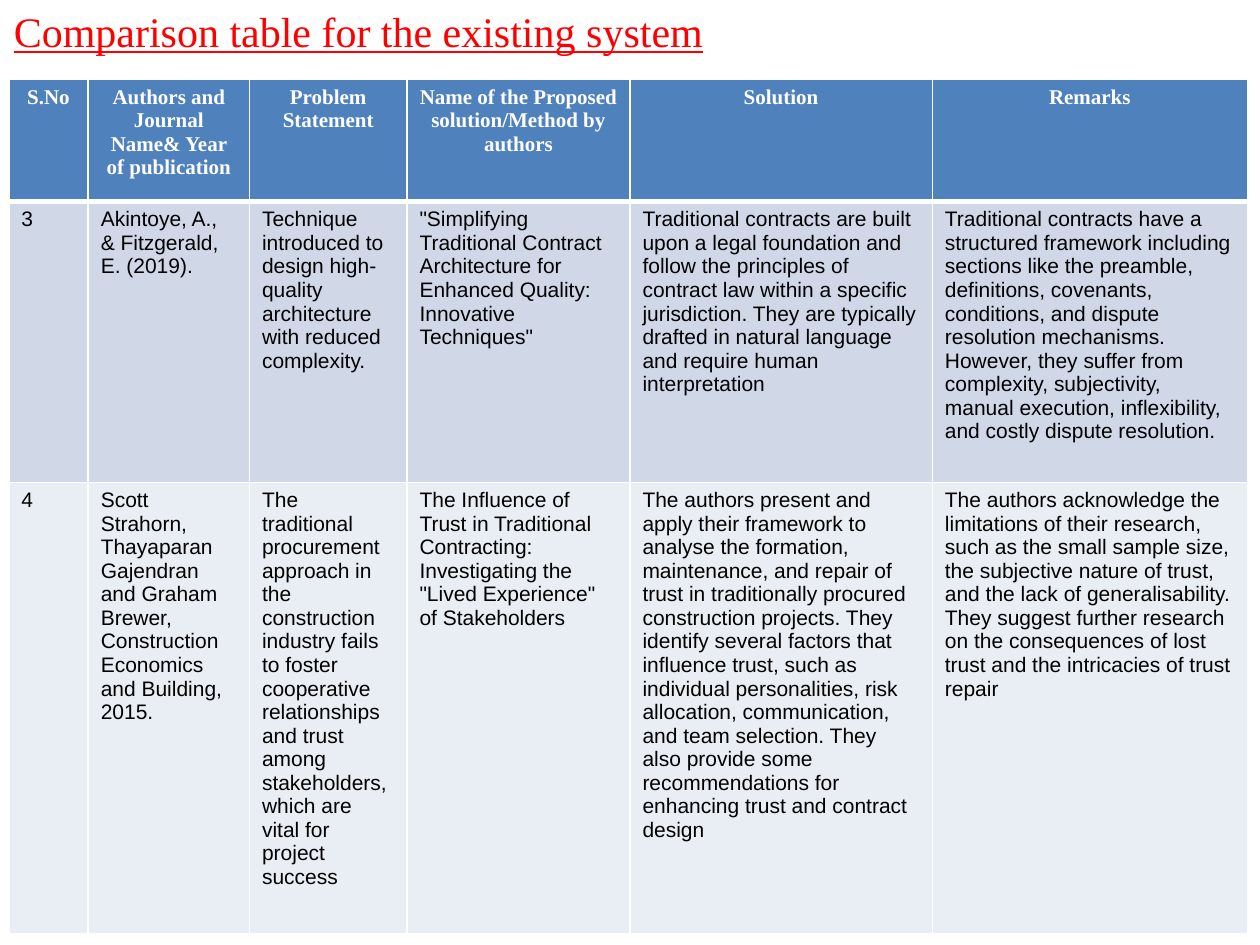
from dataclasses import dataclass

from lxml import etree
from pptx import Presentation
from pptx.dml.color import RGBColor
from pptx.enum.text import MSO_ANCHOR, MSO_AUTO_SIZE, PP_ALIGN
from pptx.oxml.ns import qn
from pptx.util import Inches, Pt

LEFT, CENTER = PP_ALIGN.LEFT, PP_ALIGN.CENTER
TOP = MSO_ANCHOR.TOP
NO_AUTOFIT = MSO_AUTO_SIZE.NONE
TITLE_ONLY = 5


@dataclass(frozen=True)
class Theme:
    title_color: str = "FF0000"
    header_text: str = "FFFFFF"
    body_text: str = "000000"
    header_fill: str = "4F81BD"
    band_fills: tuple = ("D0D8E8", "E9EDF4")
    border: str = "FFFFFF"
    serif: str = "Times New Roman"
    sans: str = "Arial"
    title_size: int = 24
    table_size: int = 12
    thin: int = 1
    thick: int = 3


def write_text(frame, text, *, font, size, color, bold=False, underline=False, align=LEFT):
    para = frame.paragraphs[0]
    para.alignment = align
    span = para.add_run()
    span.text = text
    span.font.name = font
    span.font.size = Pt(size)
    span.font.bold = bold
    span.font.underline = underline
    span.font.color.rgb = RGBColor.from_string(color)


def set_border(cell, side, color, width):
    line = etree.SubElement(cell._tc.get_or_add_tcPr(), qn(f"a:ln{side}"), w=str(Pt(width)))
    fill = etree.SubElement(line, qn("a:solidFill"))
    etree.SubElement(fill, qn("a:srgbClr"), val=color)


class SlideBuilder:
    def __init__(self, page, theme):
        self.page = page
        self.theme = theme

    def title(self, text, left, top, width, height):
        box = self.page.shapes.title
        box.left, box.top = Inches(left), Inches(top)
        box.width, box.height = Inches(width), Inches(height)
        frame = box.text_frame
        frame.word_wrap = True
        frame.auto_size = NO_AUTOFIT
        frame.vertical_anchor = TOP
        write_text(frame, text, font=self.theme.serif, size=self.theme.title_size,
                   color=self.theme.title_color, underline=True)

    def table(self, rows, left, top, widths, heights):
        table = self.page.shapes.add_table(
            len(rows), len(widths), Inches(left), Inches(top),
            Inches(sum(widths)), Inches(sum(heights))).table
        for column, width in zip(table.columns, widths):
            column.width = Inches(width)
        for row, height in zip(table.rows, heights):
            row.height = Inches(height)
        for row_index, texts in enumerate(rows):
            for column_index, text in enumerate(texts):
                self.cell(table.cell(row_index, column_index), text, row_index)

    def cell(self, cell, text, row_index):
        theme = self.theme
        is_header = row_index == 0
        # The thick rule lies between the header and the first body row
        top_width = theme.thick if row_index == 1 else theme.thin
        bottom_width = theme.thick if is_header else theme.thin
        for side, width in (("L", theme.thin), ("R", theme.thin),
                            ("T", top_width), ("B", bottom_width)):
            set_border(cell, side, theme.border, width)
        fill = theme.header_fill if is_header else theme.band_fills[(row_index - 1) % 2]
        cell.fill.solid()
        cell.fill.fore_color.rgb = RGBColor.from_string(fill)
        write_text(cell.text_frame, text, size=theme.table_size, bold=is_header,
                   font=theme.serif if is_header else theme.sans,
                   color=theme.header_text if is_header else theme.body_text,
                   align=CENTER if is_header else LEFT)


# Table content
HEADER = ("S.No", "Authors and Journal Name& Year of publication", "Problem Statement",
          "Name of the Proposed solution/Method by authors", " Solution ", "Remarks")
STUDIES = (
    ("3",
     "Akintoye, A., & Fitzgerald, E. (2019). ",
     "Technique introduced to design high-quality architecture with reduced complexity.",
     '"Simplifying Traditional Contract Architecture for Enhanced Quality: '
     'Innovative Techniques"',
     "Traditional contracts are built upon a legal foundation and follow the principles of "
     "contract law within a specific jurisdiction. They are typically drafted in natural "
     "language and require human interpretation",
     "Traditional contracts have a structured framework including sections like the preamble, "
     "definitions, covenants, conditions, and dispute resolution mechanisms. However, they "
     "suffer from complexity, subjectivity, manual execution, inflexibility, and costly "
     "dispute resolution."),
    ("4",
     "Scott Strahorn, Thayaparan Gajendran and Graham Brewer, Construction Economics and "
     "Building, 2015.",
     "The traditional procurement approach in the construction industry fails to foster "
     "cooperative relationships and trust among stakeholders, which are vital for project "
     "success",
     'The Influence of Trust in Traditional Contracting: Investigating the '
     '"Lived Experience" of Stakeholders',
     "The authors present and apply their framework to analyse the formation, maintenance, "
     "and repair of trust in traditionally procured construction projects. They identify "
     "several factors that influence trust, such as individual personalities, risk "
     "allocation, communication, and team selection. They also provide some recommendations "
     "for enhancing trust and contract design",
     "The authors acknowledge the limitations of their research, such as the small sample "
     "size, the subjective nature of trust, and the lack of generalisability. They suggest "
     "further research on the consequences of lost trust and the intricacies of trust repair"),
)

# Deck and page
deck = Presentation()
deck.slide_width, deck.slide_height = Inches(10), Inches(7.5)
page = deck.slides.add_slide(deck.slide_layouts[TITLE_ONLY])
builder = SlideBuilder(page, Theme())

# Title and comparison table
builder.title("Comparison table for the existing system", 0.01, -0.01, 9.83, 0.5)
builder.table((HEADER, *STUDIES), 0.07, 0.63,
              widths=(0.63, 1.28, 1.25, 1.77, 2.4, 2.5), heights=(0.97, 2.23, 3.58))

deck.save("out.pptx")
